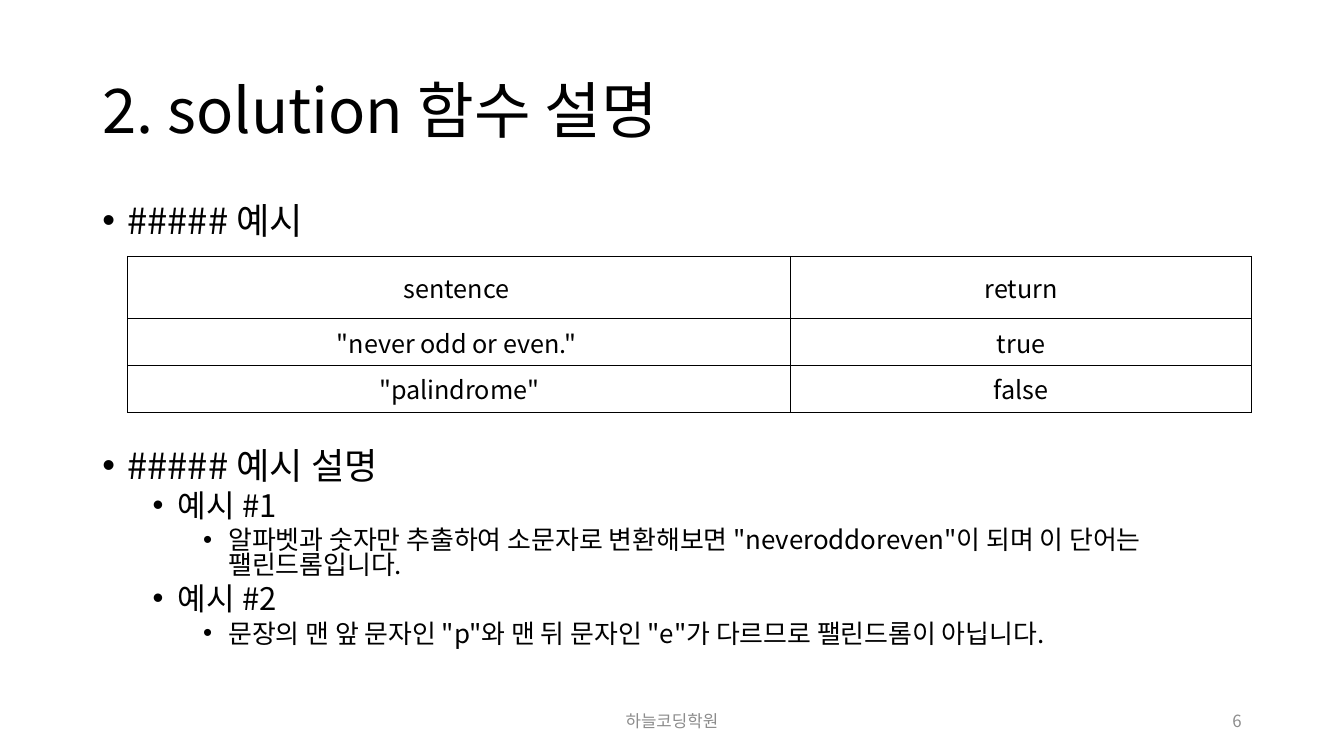
from lxml import etree
from pptx import Presentation
from pptx import util as u
from pptx.dml.color import RGBColor
from pptx.enum import text
from pptx.oxml import ns

FONT = "Noto Sans CJK KR"
COLORS = {"ink": "000000", "muted": "8C8C8C"}
LEFT, WIDTH = 2.33, 29.21
FOOTER_TOP, FOOTER_HEIGHT = 17.65, 1.02

# Per outline level: text size and space before, in points
LEVELS = [(25.9, 10), (22.2, 5), (18.5, 5)]
TABLE_GAP = 150  # space that clears the example table

OUTLINE = [
    (0, "##### 예시", None),
    (0, "##### 예시 설명", TABLE_GAP),
    (1, "예시 #1", None),
    (2, '알파벳과 숫자만 추출하여 소문자로 변환해보면 "neveroddoreven"이 되며 '
        "이 단어는 팰린드롬입니다.", None),
    (1, "예시 #2", None),
    (2, '문장의 맨 앞 문자인 "p"와 맨 뒤 문자인 "e"가 다르므로 '
        "팰린드롬이 아닙니다.", None),
]
EXAMPLES = [
    ("sentence ", "return"),
    ('"never odd or even." ', "true"),
    ('"palindrome"', "false"),
]


def add_run(paragraph, words, size, color="ink"):
    run = paragraph.add_run()
    run.text = words
    run.font.size = u.Pt(size)
    run.font.name = FONT
    run.font.color.rgb = RGBColor.from_string(COLORS[color])


def add_frame(slide, left, top, width, height, anchor=text.MSO_ANCHOR.MIDDLE):
    box = slide.shapes.add_textbox(u.Cm(left), u.Cm(top), u.Cm(width), u.Cm(height))
    frame = box.text_frame
    frame.word_wrap = True
    frame.vertical_anchor = anchor
    return frame


def add_line(slide, area, words, size, color="ink", align=text.PP_ALIGN.LEFT):
    paragraph = add_frame(slide, *area).paragraphs[0]
    paragraph.alignment = align
    add_run(paragraph, words, size, color)
    return paragraph


def set_bullet(paragraph, level):
    props = paragraph._p.get_or_add_pPr()
    props.set("marL", str(u.Cm(0.635 + 1.27 * level)))
    props.set("indent", str(u.Cm(-0.635)))
    etree.SubElement(props, ns.qn("a:buFont")).set("typeface", "Arial")
    etree.SubElement(props, ns.qn("a:buChar")).set("char", "•")


def add_outline(slide):
    frame = add_frame(slide, LEFT, 5.08, WIDTH, 12.09, text.MSO_ANCHOR.TOP)
    for index, (level, words, gap) in enumerate(OUTLINE):
        paragraph = frame.add_paragraph() if index else frame.paragraphs[0]
        size, space = LEVELS[level]
        paragraph.level = level
        paragraph.line_spacing = 0.8
        if index:
            paragraph.space_before = u.Pt(gap or space)
        set_bullet(paragraph, level)
        add_run(paragraph, words, size)


def set_borders(cell):
    props = cell._tc.get_or_add_tcPr()
    for position, side in enumerate(("lnL", "lnR", "lnT", "lnB")):
        border = etree.Element(ns.qn(f"a:{side}"), w=str(u.Pt(1)))
        fill = etree.SubElement(border, ns.qn("a:solidFill"))
        etree.SubElement(fill, ns.qn("a:srgbClr")).set("val", COLORS["ink"])
        props.insert(position, border)


def add_examples(slide):
    widths, heights = (16.71, 11.61), (1.57, 1.18, 1.18)
    table = slide.shapes.add_table(
        len(heights), len(widths), u.Cm(3.22), u.Cm(6.46),
        u.Cm(sum(widths)), u.Cm(sum(heights))).table
    table.first_row = table.horz_banding = False
    for column, width in zip(table.columns, widths):
        column.width = u.Cm(width)
    for row, height, values in zip(table.rows, heights, EXAMPLES):
        row.height = u.Cm(height)
        for cell, words in zip(row.cells, values):
            cell.fill.background()
            cell.vertical_anchor = text.MSO_ANCHOR.MIDDLE
            set_borders(cell)
            paragraph = cell.text_frame.paragraphs[0]
            paragraph.alignment = text.PP_ALIGN.CENTER
            add_run(paragraph, words, 18)


def main():
    deck = Presentation()
    deck.slide_width, deck.slide_height = u.Cm(33.87), u.Cm(19.05)
    slide = deck.slides.add_slide(deck.slide_layouts[6])

    # Title
    title = add_line(slide, (LEFT, 1.01, WIDTH, 3.68), "2. solution 함수 설명", 44)
    title.line_spacing = 0.9

    # Explanation and example table
    add_outline(slide)
    add_examples(slide)

    # Footer and page number
    add_line(slide, (11.22, FOOTER_TOP, 11.43, FOOTER_HEIGHT), "하늘코딩학원",
             12, "muted", text.PP_ALIGN.CENTER)
    add_line(slide, (23.92, FOOTER_TOP, 7.62, FOOTER_HEIGHT), "6",
             12, "muted", text.PP_ALIGN.RIGHT)

    deck.save("out.pptx")


main()
